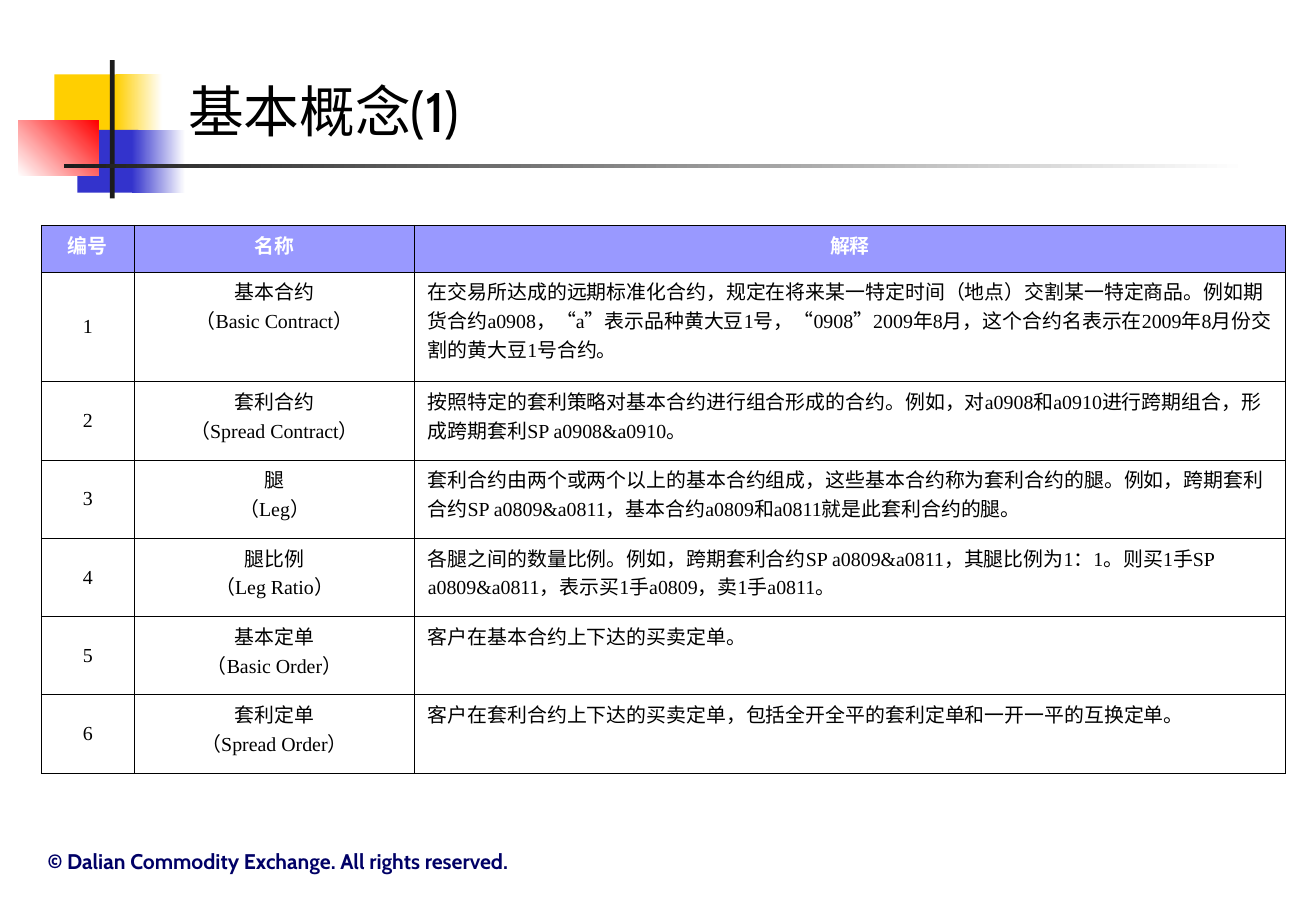
from lxml import etree
from pptx import Presentation
from pptx.dml.color import RGBColor
from pptx.enum.shapes import MSO_SHAPE
from pptx.enum.text import MSO_ANCHOR, MSO_AUTO_SIZE, PP_ALIGN
from pptx.oxml.ns import qn
from pptx.util import Inches, Pt

RECT = MSO_SHAPE.RECTANGLE
TOP, MIDDLE, BOTTOM = MSO_ANCHOR.TOP, MSO_ANCHOR.MIDDLE, MSO_ANCHOR.BOTTOM
LEFT, CENTER = PP_ALIGN.LEFT, PP_ALIGN.CENTER
NO_FIT = MSO_AUTO_SIZE.NONE

BLACK = RGBColor(0x00, 0x00, 0x00)
WHITE = RGBColor(0xFF, 0xFF, 0xFF)
INK = RGBColor(0x1C, 0x1C, 0x1C)
GOLD = RGBColor(0xFF, 0xCF, 0x01)
BLUE = RGBColor(0x33, 0x33, 0xCC)
RED = RGBColor(0xFF, 0x00, 0x00)
NAVY = RGBColor(0x00, 0x00, 0x66)
LILAC = RGBColor(0x99, 0x99, 0xFF)

# Left, top, width, height, colours from start to end, angle
DECOR = [
    (0.57, 0.78, 0.66, 0.65, [GOLD], 0),
    (1.21, 0.78, 0.49, 0.65, [GOLD, WHITE], 0),
    (0.81, 1.36, 0.64, 0.66, [BLUE], 0),
    (1.38, 1.36, 0.56, 0.66, [BLUE, WHITE], 0),
    (0.19, 1.26, 0.84, 0.58, [WHITE, RED], 45),
    (1.15, 0.63, 0.05, 1.45, [INK], 0),
    (0.67, 1.72, 12.4, 0.04, [INK, WHITE], 0),
]

HEADS = ["编号", "名称", "解释"]
TERMS = [
    ("基本合约", "Basic Contract",
     "在交易所达成的远期标准化合约，规定在将来某一特定时间（地点）交割某一特定商品。"
     "例如期货合约a0908，“a”表示品种黄大豆1号，“0908”2009年8月，"
     "这个合约名表示在2009年8月份交割的黄大豆1号合约。"),
    ("套利合约", "Spread Contract",
     "按照特定的套利策略对基本合约进行组合形成的合约。"
     "例如，对a0908和a0910进行跨期组合，形成跨期套利SP a0908&a0910。"),
    ("腿", "Leg",
     "套利合约由两个或两个以上的基本合约组成，这些基本合约称为套利合约的腿。"
     "例如，跨期套利合约SP a0809&a0811，基本合约a0809和a0811就是此套利合约的腿。"),
    ("腿比例", "Leg Ratio",
     "各腿之间的数量比例。例如，跨期套利合约SP a0809&a0811，其腿比例为1：1。"
     "则买1手SP a0809&a0811，表示买1手a0809，卖1手a0811。"),
    ("基本定单", "Basic Order", "客户在基本合约上下达的买卖定单。"),
    ("套利定单", "Spread Order",
     "客户在套利合约上下达的买卖定单，包括全开全平的套利定单和一开一平的互换定单。"),
]
COLS = [0.98, 2.93, 9.12]
ROWS = [0.49, 1.15] + [0.82] * 5


class Deck:
    sans = "Cabin"
    serif = "Times New Roman"

    def __init__(self, width, height):
        self.prs = Presentation()
        self.prs.slide_width = Inches(width)
        self.prs.slide_height = Inches(height)
        self.slide = self.prs.slides.add_slide(self.prs.slide_layouts[5])
        self.shapes = self.slide.shapes

    def words(self, frame, text, name, size, color, bold=False, align=LEFT):
        frame.text = text
        for para in frame.paragraphs:
            para.alignment = align
            font = para.font
            font.name, font.size, font.bold = name, Pt(size), bold
            font.color.rgb = color

    def title(self, text, *box):
        shape = self.shapes.title
        shape.left, shape.top, shape.width, shape.height = map(Inches, box)
        frame = shape.text_frame
        frame.auto_size = NO_FIT
        frame.word_wrap = True
        frame.vertical_anchor = BOTTOM
        frame.margin_left = frame.margin_right = Inches(0.12)
        frame.margin_top = frame.margin_bottom = Inches(0.06)
        self.words(frame, text, self.sans, 42, BLACK)

    def block(self, x, y, w, h, colors, angle):
        shape = self.shapes.add_shape(RECT, *map(Inches, (x, y, w, h)))
        shape.shadow.inherit = False
        shape.line.fill.background()
        fill = shape.fill
        if len(colors) == 1:
            fill.solid()
            fill.fore_color.rgb = colors[0]
            return
        fill.gradient()
        fill.gradient_angle = angle
        for stop, color in zip(fill.gradient_stops, colors):
            stop.color.rgb = color

    def note(self, text, *box):
        frame = self.shapes.add_textbox(*map(Inches, box)).text_frame
        frame.word_wrap = True
        self.words(frame, text, self.sans, 16, NAVY, bold=True)

    def border(self, cell):
        props = cell._tc.get_or_add_tcPr()
        for i, side in enumerate(("lnL", "lnR", "lnT", "lnB")):
            line = etree.Element(qn(f"a:{side}"), w=str(int(Pt(0.45))))
            fill = etree.SubElement(line, qn("a:solidFill"))
            etree.SubElement(fill, qn("a:srgbClr"), val=str(BLACK))
            props.insert(i, line)

    def cell(self, cell, text, head, col):
        cell.margin_left = cell.margin_right = Inches(0.14)
        cell.margin_top = cell.margin_bottom = Inches(0.05)
        cell.vertical_anchor = MIDDLE if col == 0 and not head else TOP
        self.border(cell)
        if head:
            cell.fill.solid()
            cell.fill.fore_color.rgb = LILAC
        else:
            cell.fill.background()
        align = CENTER if head or col < 2 else LEFT
        color = WHITE if head else BLACK
        self.words(cell.text_frame, text, self.serif, 15, color, head, align)

    def table(self, data, x, y, cols, rows):
        box = map(Inches, (x, y, sum(cols), sum(rows)))
        table = self.shapes.add_table(len(rows), len(cols), *box).table
        table.horz_banding = False
        for col, width in zip(table.columns, cols):
            col.width = Inches(width)
        for row, height in zip(table.rows, rows):
            row.height = Inches(height)
        for r, line in enumerate(data):
            for c, text in enumerate(line):
                self.cell(table.cell(r, c), text, r == 0, c)


def main():
    deck = Deck(13.78, 9.45)

    # Coloured blocks and rules beside the title
    for part in DECOR:
        deck.block(*part)

    # Copyright line
    deck.note(" © Dalian Commodity Exchange. All rights reserved.",
              0.35, 8.84, 6.14, 0.36)

    # Table of terms
    body = [(str(i), f"{name}\n（{label}）", text)
            for i, (name, label, text) in enumerate(TERMS, 1)]
    deck.table([HEADS] + body, 0.43, 2.36, COLS, ROWS)

    # Title
    deck.title("基本概念(1)", 1.85, 0.87, 9.61, 0.7)

    deck.prs.save("out.pptx")


if __name__ == "__main__":
    main()
